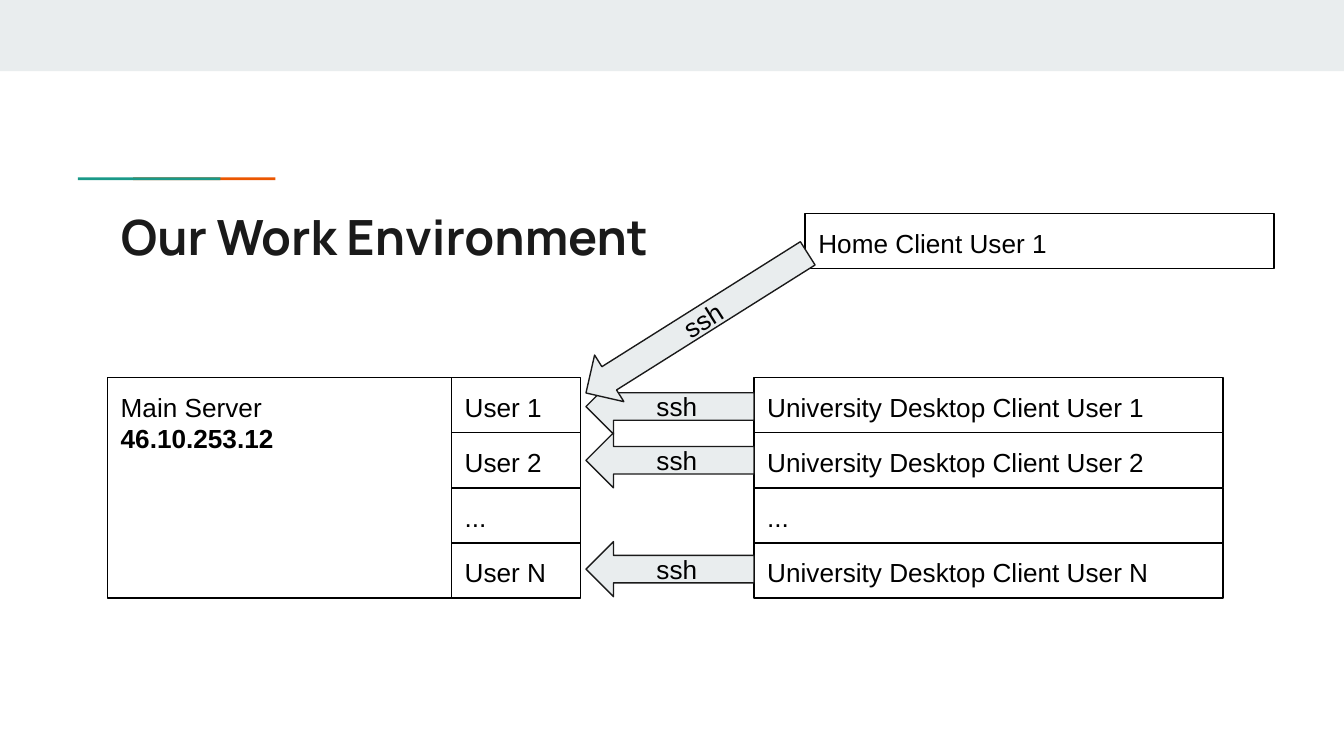
from dataclasses import dataclass

from pptx import Presentation
from pptx import util as u
from pptx.dml.color import RGBColor
from pptx.enum import shapes, text

BLACK = RGBColor(0x00, 0x00, 0x00)
INK = RGBColor(0x1A, 0x1A, 0x1A)
MIST = RGBColor(0xE9, 0xED, 0xEE)
TEAL = RGBColor(0x1A, 0x99, 0x88)
ORANGE = RGBColor(0xEB, 0x56, 0x00)

ROW_TOP = 2.81
ROW_HEIGHT = 0.41
CLIENT_WIDTH = 3.49
USERS = ["User 1", "User 2", "...", "User N"]


@dataclass
class Band:
    left: float
    top: float
    width: float
    height: float
    color: RGBColor


@dataclass
class Box:
    left: float
    top: float
    width: float
    label: str
    height: float = ROW_HEIGHT
    detail: str = ""


@dataclass
class Arrow:
    left: float
    top: float
    width: float
    rotation: float = 0


def add_preset(slide, kind, left: float, top: float, width: float, height: float):
    shape = slide.shapes.add_shape(
        kind, u.Inches(left), u.Inches(top), u.Inches(width), u.Inches(height))
    shape.shadow.inherit = False
    return shape


def set_frame(frame, anchor) -> None:
    frame.word_wrap = True
    frame.auto_size = text.MSO_AUTO_SIZE.NONE
    frame.vertical_anchor = anchor
    frame.margin_left = frame.margin_right = u.Inches(0.1)
    frame.margin_top = frame.margin_bottom = u.Inches(0.1)


def add_run(paragraph, wording: str, align, size: float = 14, font: str = "Arial",
            color: RGBColor = BLACK, bold: bool = False) -> None:
    paragraph.alignment = align
    run = paragraph.add_run()
    run.text = wording
    run.font.name = font
    run.font.size = u.Pt(size)
    run.font.bold = bold
    run.font.color.rgb = color


def draw_band(slide, band: Band) -> None:
    shape = add_preset(slide, shapes.MSO_SHAPE.RECTANGLE,
                       band.left, band.top, band.width, band.height)
    shape.fill.solid()
    shape.fill.fore_color.rgb = band.color
    shape.line.fill.background()


def draw_box(slide, box: Box) -> None:
    shape = add_preset(slide, shapes.MSO_SHAPE.RECTANGLE,
                       box.left, box.top, box.width, box.height)
    shape.fill.background()
    shape.line.color.rgb = BLACK
    shape.line.width = u.Pt(0.75)
    frame = shape.text_frame
    set_frame(frame, text.MSO_ANCHOR.TOP)
    add_run(frame.paragraphs[0], box.label, text.PP_ALIGN.LEFT)
    if box.detail:
        add_run(frame.add_paragraph(), box.detail, text.PP_ALIGN.LEFT, bold=True)


def draw_arrow(slide, arrow: Arrow) -> None:
    shape = add_preset(slide, shapes.MSO_SHAPE.LEFT_ARROW,
                       arrow.left, arrow.top, arrow.width, ROW_HEIGHT)
    shape.rotation = arrow.rotation
    shape.fill.solid()
    shape.fill.fore_color.rgb = MIST
    shape.line.color.rgb = INK
    shape.line.width = u.Pt(0.75)
    set_frame(shape.text_frame, text.MSO_ANCHOR.MIDDLE)
    add_run(shape.text_frame.paragraphs[0], "ssh", text.PP_ALIGN.CENTER)


def draw_title(slide, wording: str) -> None:
    title = slide.shapes.title
    title.left, title.top = u.Inches(0.8), u.Inches(1.44)
    title.width, title.height = u.Inches(8.41), u.Inches(0.59)
    set_frame(title.text_frame, text.MSO_ANCHOR.TOP)
    add_run(title.text_frame.paragraphs[0], wording, text.PP_ALIGN.LEFT,
            size=26, font="Manrope", color=INK, bold=True)


def main() -> None:
    deck = Presentation()
    deck.slide_width = u.Inches(10)
    deck.slide_height = deck.slide_width * 9 // 16
    slide = deck.slides.add_slide(deck.slide_layouts[5])

    for band in (Band(0, 0, 10, 0.53, MIST),
                 Band(0.99, 1.32, 1.06, 0.02, ORANGE),
                 Band(0.58, 1.32, 1.06, 0.02, TEAL)):
        draw_band(slide, band)
    draw_title(slide, "Our Work Environment")

    draw_box(slide, Box(0.8, ROW_TOP, 2.56, "Main Server",
                        height=len(USERS) * ROW_HEIGHT, detail="46.10.253.12"))
    for left, width, prefix in ((3.36, 0.96, ""),
                                (5.61, CLIENT_WIDTH, "University Desktop Client ")):
        for row, user in enumerate(USERS):
            label = user if user == "..." else prefix + user
            draw_box(slide, Box(left, ROW_TOP + row * ROW_HEIGHT, width, label))

    for top in (2.82, 3.22, 4.03):
        draw_arrow(slide, Arrow(4.36, top, 1.25))
    draw_box(slide, Box(5.99, 1.59, CLIENT_WIDTH, "Home Client User 1"))
    draw_arrow(slide, Arrow(4.21, 2.2, 1.95, rotation=327.8))

    deck.save("out.pptx")


if __name__ == "__main__":
    main()
